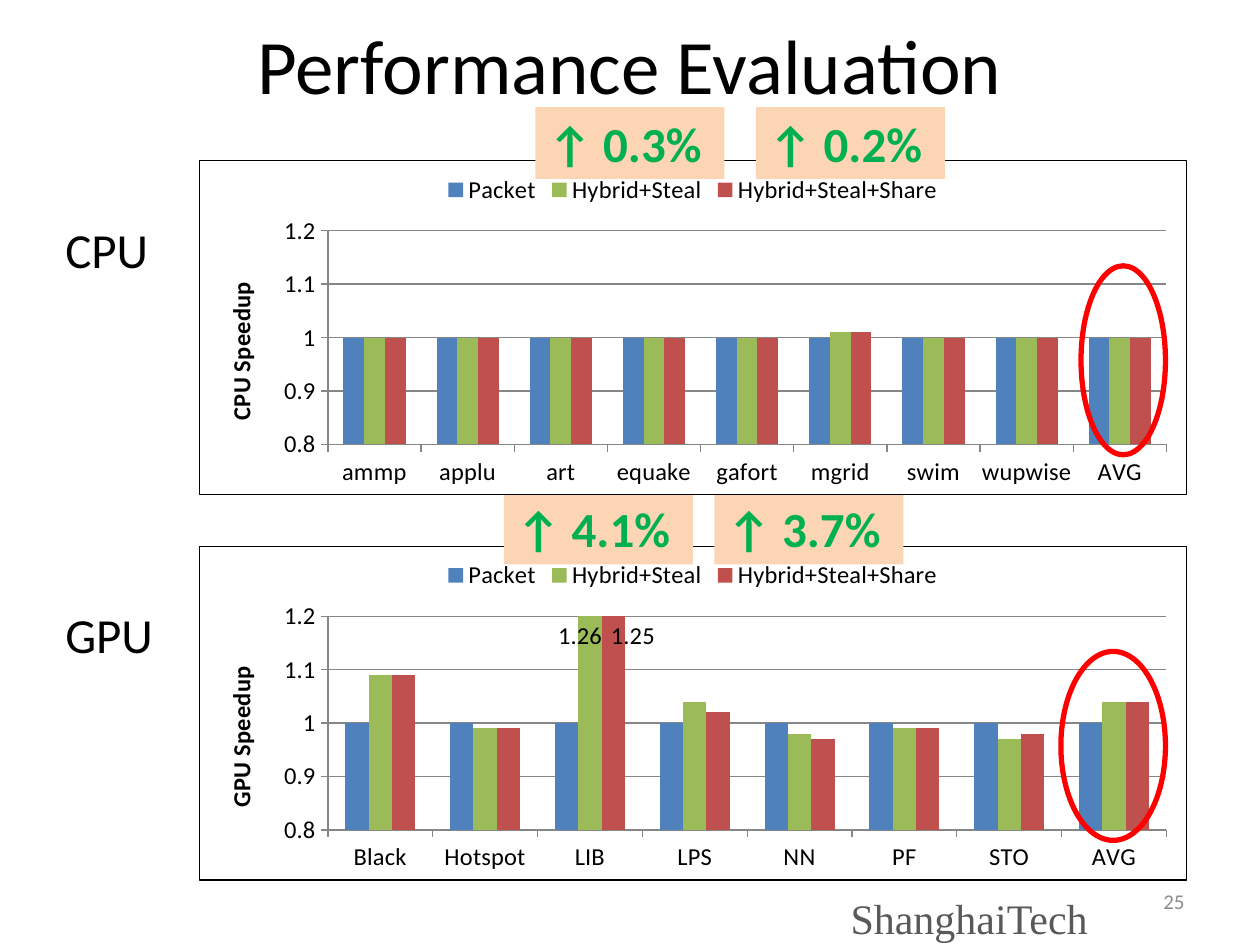
import pptx
import pptx.util
import pptx.chart.data
import pptx.dml.color
import pptx.enum.chart
import pptx.enum.shapes
import pptx.enum.text
import pptx.oxml

Inches = pptx.util.Inches
Pt = pptx.util.Pt
Align = pptx.enum.text.PP_ALIGN
Anchor = pptx.enum.text.MSO_ANCHOR
Shape = pptx.enum.shapes.MSO_SHAPE
Tick = pptx.enum.chart.XL_TICK_MARK
NAMES = ["Packet", "Hybrid+Steal", "Hybrid+Steal+Share"]
FILLS = ["4F81BD", "9BBB59", "C0504D"]
SPACE = ('xmlns:c="http://schemas.openxmlformats.org/drawingml/2006/chart" '
         'xmlns:a="http://schemas.openxmlformats.org/drawingml/2006/main"')


def color(code):
    """Turn a hex string into a colour."""
    return pptx.dml.color.RGBColor.from_string(code)


def style(font, size, code, bold=False, face="Calibri"):
    """Set the look of a font."""
    font.size, font.bold, font.name = Pt(size), bold, face
    font.color.rgb = color(code)


def write(shape, text, size, code, align=Align.LEFT, bold=False, face="Calibri"):
    """Put one styled line of text in a shape."""
    frame = shape.text_frame
    frame.word_wrap = True
    frame.text = text
    line = frame.paragraphs[0]
    line.alignment = align
    style(line.runs[0].font, size, code, bold, face)
    return frame


def label(slide, box, *args, **looks):
    """Add a text box with one line."""
    return write(slide.shapes.add_textbox(*map(Inches, box)), *args, **looks)


def badge(slide, left, top, text):
    """Add a tinted box that states a gain."""
    shape = slide.shapes.add_shape(
        Shape.RECTANGLE, Inches(left), Inches(top), Inches(1.5), Inches(0.57))
    shape.shadow.inherit = False
    shape.fill.solid()
    shape.fill.fore_color.rgb = color("FCD5B5")
    shape.line.fill.background()
    write(shape, text, 28, "00B050", bold=True).vertical_anchor = Anchor.TOP


def ring(slide, box):
    """Add a red oval outline."""
    shape = slide.shapes.add_shape(Shape.OVAL, *map(Inches, box))
    shape.shadow.inherit = False
    shape.fill.background()
    shape.line.color.rgb = color("FF0000")
    shape.line.width = Pt(3)


def layout(modes, **sizes):
    """Make the XML of a manual chart layout."""
    parts = "".join(f'<c:{key} val="{val}"/>' for key, val in sizes.items())
    return pptx.oxml.parse_xml(
        f"<c:layout {SPACE}><c:manualLayout>{modes}{parts}</c:manualLayout></c:layout>")


def frame_plot(chart):
    """Outline the chart and fix its plot area."""
    border = pptx.oxml.parse_xml(
        f'<c:spPr {SPACE}><a:solidFill><a:srgbClr val="FFFFFF"/></a:solidFill>'
        '<a:ln w="9525"><a:solidFill><a:srgbClr val="000000"/></a:solidFill></a:ln></c:spPr>')
    body = chart._chartSpace.chart
    body.addnext(border)
    area = body.plotArea
    for old in area.xpath("c:layout"):
        area.remove(old)
    modes = ('<c:layoutTarget val="inner"/><c:xMode val="edge"/>'
             '<c:yMode val="edge"/>')
    area.insert(0, layout(modes, x=0.13, y=0.21, w=0.85, h=0.64))


def axes(chart, title):
    """Format both axes of a chart."""
    value = chart.value_axis
    value.minimum_scale, value.maximum_scale, value.major_unit = 0.8, 1.2, 0.1
    value.has_major_gridlines = True
    value.major_gridlines.format.line.color.rgb = color("868686")
    value.tick_labels.number_format = "General"
    value.tick_labels.number_format_is_linked = False
    value.axis_title.text_frame.text = title
    run = value.axis_title.text_frame.paragraphs[0].runs[0]
    style(run.font, 14, "000000", True)
    for axis in (value, chart.category_axis):
        axis.major_tick_mark = Tick.OUTSIDE
        axis.format.line.color.rgb = color("868686")


def graph(slide, box, title, cats, rows):
    """Add a column chart of speedups."""
    data = pptx.chart.data.CategoryChartData(number_format="0.00")
    data.categories = cats
    for name, row in zip(NAMES, rows):
        data.add_series(name, row)
    kind = pptx.enum.chart.XL_CHART_TYPE.COLUMN_CLUSTERED
    chart = slide.shapes.add_chart(kind, *map(Inches, box), data).chart
    style(chart.font, 14, "000000")
    chart.has_title = False
    chart.has_legend = True
    chart.legend.position = pptx.enum.chart.XL_LEGEND_POSITION.TOP
    chart.legend.include_in_layout = False
    plot = chart.plots[0]
    plot.gap_width, plot.overlap, plot.vary_by_categories = 150, 0, False
    for bars, fill in zip(plot.series, FILLS):
        bars.format.fill.solid()
        bars.format.fill.fore_color.rgb = color(fill)
    axes(chart, title)
    frame_plot(chart)
    return chart


def mark(chart, spot, shifts):
    """Show the values of the bars that pass the top."""
    for bars, shift in zip(list(chart.plots[0].series)[1:], shifts):
        tag = bars.points[spot].data_label
        tag.position = pptx.enum.chart.XL_LABEL_POSITION.INSIDE_END
        style(tag.font, 14, "000000")
        node = bars._element.xpath("c:dLbls/c:dLbl/c:idx")[0]
        node.addnext(layout("", x=shift, y=0))


def panel(slide, top, name, cats, rows, gains, oval):
    """Add a chart with its label, gains and ring, from a given top."""
    chart = graph(slide, (1.58, top, 7.84, 2.66), name + " Speedup", cats, rows)
    label(slide, (0.42, top + 0.42, 1.17, 0.57), name, 28, "000000")
    for left, text in gains:
        badge(slide, left, top - 0.42, text)
    left, width = oval
    ring(slide, (left, top + 0.84, width, 1.5))
    return chart


def head(slide, text):
    """Place and fill the title."""
    title = slide.shapes.title
    title.left, title.top, title.width, title.height = map(Inches, (0, 0.17, 10, 0.67))
    write(title, text, 44, "000000", Align.CENTER).vertical_anchor = Anchor.MIDDLE


def foot(slide):
    """Add the page number and the school name."""
    page = label(slide, (7.17, 6.95, 2.33, 0.4), "25", 12, "8C8C8C", Align.RIGHT)
    page.vertical_anchor = Anchor.MIDDLE
    school = label(slide, (6.75, 7.08, 2.25, 0.42), "ShanghaiTech", 24, "595959",
                   face="Times New Roman")
    school.margin_left = school.margin_right = 0
    school.margin_top = school.margin_bottom = 0


def main():
    """Build the slide and save it."""
    deck = pptx.Presentation()
    deck.slide_width, deck.slide_height = Inches(10), Inches(7.5)
    slide = deck.slides.add_slide(deck.slide_layouts[5])
    head(slide, "Performance Evaluation")
    chart = panel(
        slide, 4.33, "GPU",
        ["Black", "Hotspot", "LIB", "LPS", "NN", "PF", "STO", "AVG"],
        [[1] * 8,
         [1.09, 0.99, 1.26, 1.04, 0.98, 0.99, 0.97, 1.04],
         [1.09, 0.99, 1.25, 1.02, 0.97, 0.99, 0.98, 1.04]],
        [(4, "↑ 4.1%"), (5.67, "↑ 3.7%")], (8.42, 0.83))
    mark(chart, 2, (-0.01, 0.02))
    speeds = [1, 1, 1, 1, 1, 1.01, 1, 1, 1]
    panel(
        slide, 1.27, "CPU",
        ["ammp", "applu", "art", "equake", "gafort", "mgrid", "swim", "wupwise", "AVG"],
        [[1] * 9, speeds, speeds],
        [(4.25, "↑ 0.3%"), (6, "↑ 0.2%")], (8.58, 0.67))
    foot(slide)
    deck.save("out.pptx")


if __name__ == "__main__":
    main()
